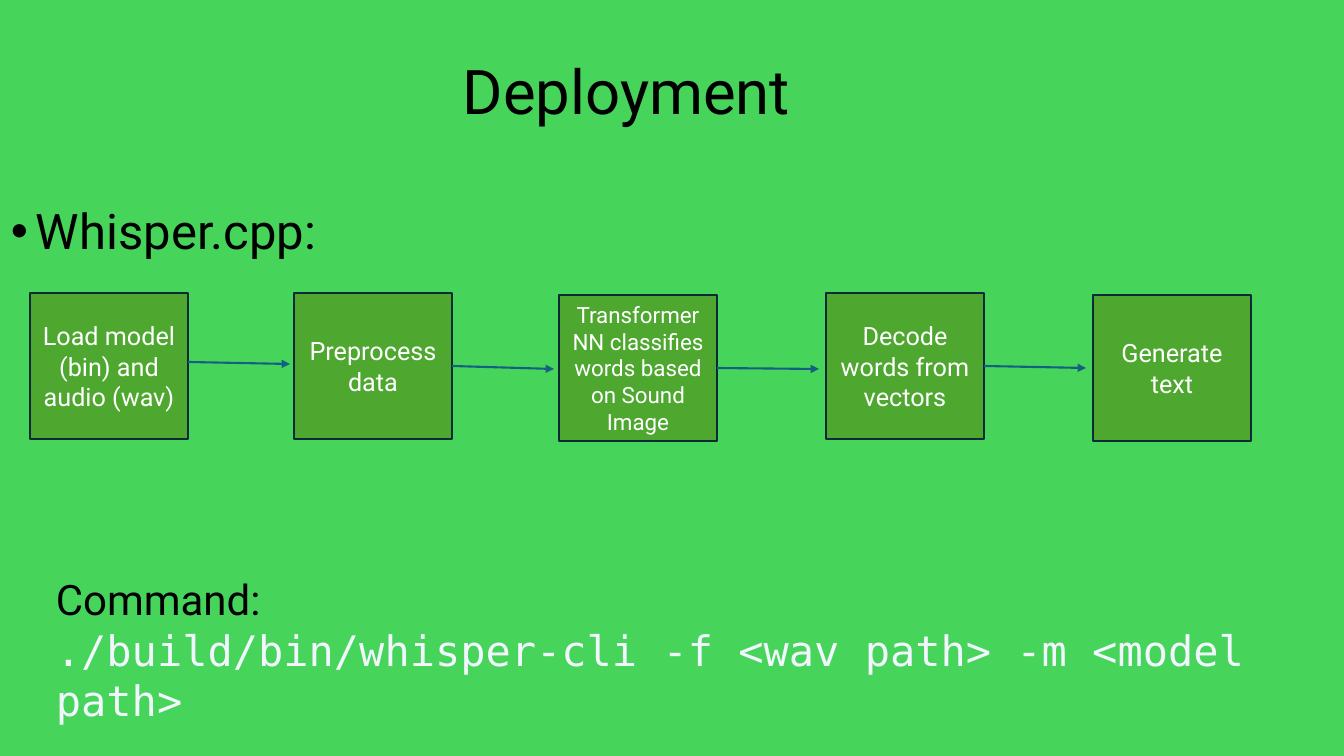
from dataclasses import dataclass

from lxml import etree
from pptx import Presentation
from pptx.dml.color import RGBColor
from pptx.enum.shapes import MSO_CONNECTOR, MSO_SHAPE
from pptx.enum.text import MSO_ANCHOR, PP_ALIGN
from pptx.oxml.ns import qn
from pptx.util import Pt

RECTANGLE = MSO_SHAPE.RECTANGLE
STRAIGHT = MSO_CONNECTOR.STRAIGHT
TOP, MIDDLE = MSO_ANCHOR.TOP, MSO_ANCHOR.MIDDLE
LEFT, CENTER = PP_ALIGN.LEFT, PP_ALIGN.CENTER
RIGHT_SIDE = 3


@dataclass(frozen=True)
class Theme:
    background: str = "47D45A"
    ink: str = "000000"
    box_fill: str = "4EA72E"
    box_line: str = "092A39"
    box_text: str = "FFFFFF"
    arrow: str = "156082"
    code: str = "F0F6FC"
    font: str = "Roboto"
    code_font: str = "DejaVu Sans Mono"
    title_size: int = 44
    body_size: int = 35
    command_size: int = 30
    step_size: int = 18
    dense_step_size: int = 16
    line_width: float = 1.5


THEME = Theme()
SLIDE_SIZE = (1344, 756)
TITLE = ("Deployment", (453, 0, 404, 190))
TOOL = ("Whisper.cpp:", (1, 202, 1251, 480))
COMMAND_AREA = (46, 569, 1251, 112)
COMMAND_LABEL = "Command:"
COMMAND = "./build/bin/whisper-cli -f <wav path> -m <model path>"
STEPS = [
    ("Load model (bin) and audio (wav)", 30, 293, THEME.step_size),
    ("Preprocess data", 294, 293, THEME.step_size),
    ("Transformer NN classifies words based on Sound Image", 559, 295, THEME.dense_step_size),
    ("Decode words from vectors", 826, 293, THEME.step_size),
    ("Generate text", 1093, 295, THEME.step_size),
]
STEP_WIDTH, STEP_HEIGHT = 158, 146
ARROW_STARTS = [362, 367, 367, 366]
ARROW_LENGTH, ARROW_DROP = 102, 2
JOIN_TOLERANCE = 2
BULLET_INDENT = 25
EMU_PER_PX = 914400 / 100.8


def px(length):
    return round(length * EMU_PER_PX)


def color(value):
    return RGBColor.from_string(value)


def write(paragraph, text, *, size, ink, font=THEME.font, align=LEFT, spacing=None, bullet=False):
    paragraph.alignment = align
    if spacing:
        paragraph.line_spacing = spacing
    if bullet:
        properties = paragraph._p.get_or_add_pPr()
        properties.set("marL", str(px(BULLET_INDENT)))
        properties.set("indent", str(-px(BULLET_INDENT)))
        etree.SubElement(properties, qn("a:buFont")).set("typeface", "Arial")
        etree.SubElement(properties, qn("a:buChar")).set("char", "•")
    run = paragraph.add_run()
    run.text = text
    run.font.name = font
    run.font.size = Pt(size)
    run.font.color.rgb = color(ink)


def add_text_frame(slide, area, anchor=TOP):
    frame = slide.shapes.add_textbox(*map(px, area)).text_frame
    frame.word_wrap = True
    frame.vertical_anchor = anchor
    return frame


def add_step(slide, text, left, top, size):
    box = slide.shapes.add_shape(RECTANGLE, *map(px, (left, top, STEP_WIDTH, STEP_HEIGHT)))
    box.shadow.inherit = False
    box.fill.solid()
    box.fill.fore_color.rgb = color(THEME.box_fill)
    box.line.color.rgb = color(THEME.box_line)
    box.line.width = Pt(THEME.line_width)
    box.text_frame.word_wrap = True
    box.text_frame.vertical_anchor = MIDDLE
    write(box.text_frame.paragraphs[0], text, size=size, ink=THEME.box_text, align=CENTER)
    return box


def add_arrow(slide, box, left, top, start_y):
    start_x = left + STEP_WIDTH
    points = (start_x, start_y, start_x + ARROW_LENGTH, start_y + ARROW_DROP)
    arrow = slide.shapes.add_connector(STRAIGHT, *map(px, points))
    if abs(start_y - top - STEP_HEIGHT / 2) <= JOIN_TOLERANCE:
        arrow.begin_connect(box, RIGHT_SIDE)
    arrow.line.color.rgb = color(THEME.arrow)
    arrow.line.width = Pt(THEME.line_width)
    etree.SubElement(arrow.line._get_or_add_ln(), qn("a:tailEnd")).set("type", "triangle")
    etree.SubElement(arrow._element.spPr, qn("a:effectLst"))


def main():
    presentation = Presentation()
    presentation.slide_width, presentation.slide_height = map(px, SLIDE_SIZE)
    slide = presentation.slides.add_slide(presentation.slide_layouts[6])
    slide.background.fill.solid()
    slide.background.fill.fore_color.rgb = color(THEME.background)

    text, area = TOOL
    frame = add_text_frame(slide, area)
    write(frame.paragraphs[0], text, size=THEME.body_size, ink=THEME.ink, spacing=0.9, bullet=True)

    text, area = TITLE
    frame = add_text_frame(slide, area, anchor=MIDDLE)
    write(frame.paragraphs[0], text, size=THEME.title_size, ink=THEME.ink, spacing=0.9)

    boxes = [add_step(slide, *step) for step in STEPS]
    for box, (_, left, top, _), start_y in zip(boxes, STEPS, ARROW_STARTS):
        add_arrow(slide, box, left, top, start_y)

    frame = add_text_frame(slide, COMMAND_AREA)
    write(frame.paragraphs[0], COMMAND_LABEL, size=THEME.command_size, ink=THEME.ink)
    write(frame.add_paragraph(), COMMAND, size=THEME.command_size, ink=THEME.code, font=THEME.code_font)

    presentation.save("out.pptx")


if __name__ == "__main__":
    main()
